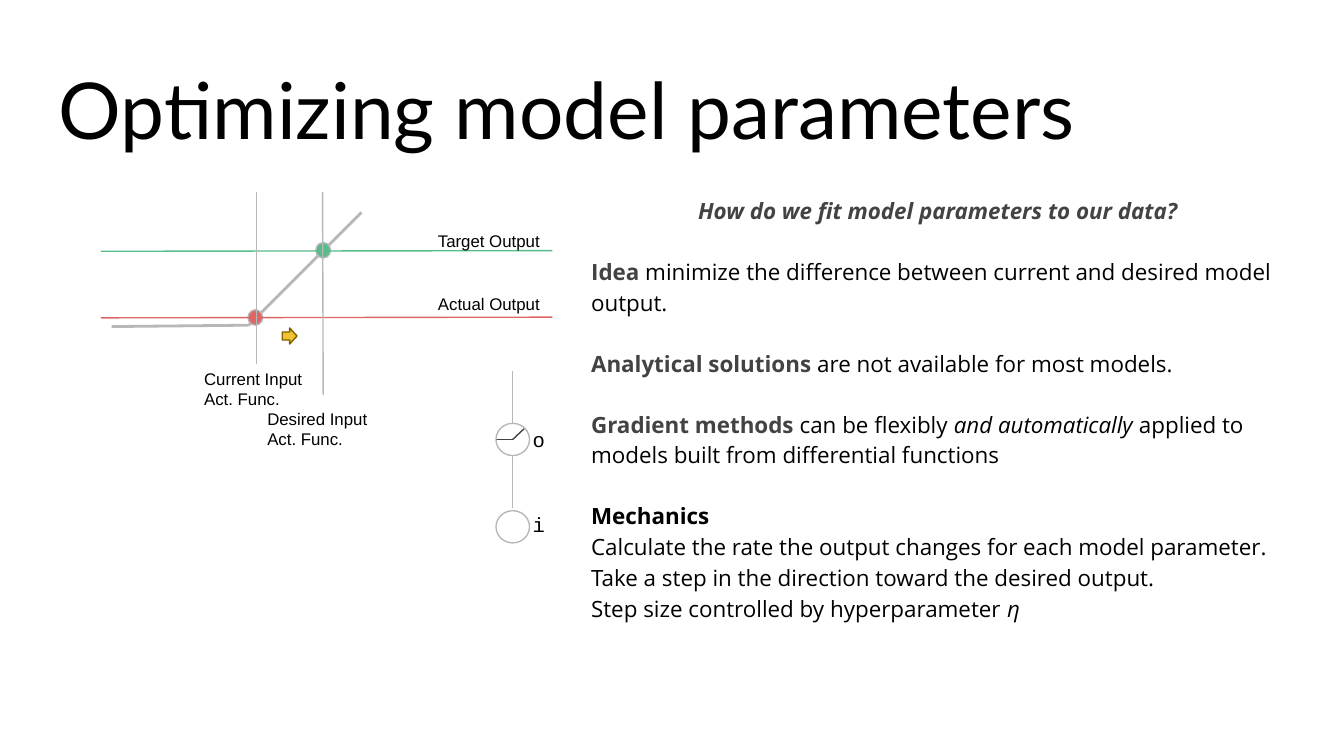
from lxml import etree
from pptx import Presentation
from pptx import util as u
from pptx.dml.color import RGBColor
from pptx.enum import shapes, text
from pptx.oxml.ns import qn

PX = 4572
BLACK, DARK, GRAY = "000000", "434343", "B7B7B7"
GREEN, RED = "57BB8A", "E06666"

deck = Presentation()
deck.slide_width, deck.slide_height = 2000 * PX, 1125 * PX
page = deck.slides.add_slide(deck.slide_layouts[6])


def color(value):
    return RGBColor.from_string(value)


def add_text(left, top, width, height, paragraphs, font, size,
             anchor=text.MSO_ANCHOR.TOP):
    box = page.shapes.add_textbox(left * PX, top * PX, width * PX, height * PX)
    frame = box.text_frame
    frame.word_wrap = True
    frame.vertical_anchor = anchor
    frame.margin_left = frame.margin_right = 20 * PX
    frame.margin_top = frame.margin_bottom = 20 * PX
    for index, spans in enumerate(paragraphs):
        para = frame.paragraphs[0] if index == 0 else frame.add_paragraph()
        for words, hue, bold, italic in spans:
            for number, line in enumerate(words.split("\n")):
                if number:
                    para.add_line_break()
                span = para.add_run()
                span.text = line
                span.font.name = font
                span.font.size = u.Pt(size)
                span.font.color.rgb = color(hue)
                span.font.bold = bold
                span.font.italic = italic
    return frame


add_text(68, 69, 1864, 182, [[("Optimizing model parameters", BLACK, False, False)]],
         "Lato", 42, text.MSO_ANCHOR.BOTTOM)

body = add_text(860, 268, 1072, 734, [
    [("How do we fit model parameters to our data?", DARK, True, True)],
    [("Idea", DARK, True, False),
     (" minimize the difference between current and desired model output.",
      BLACK, False, False)],
    [("Analytical solutions", DARK, True, False),
     (" are not available for most models.", BLACK, False, False)],
    [("Gradient methods", DARK, True, False),
     (" can be flexibly ", BLACK, False, False),
     ("and automatically", BLACK, False, True),
     (" applied to models built from differential functions", BLACK, False, False)],
    [("Mechanics", BLACK, True, False),
     ("\nCalculate the rate the output changes for each model parameter."
      "\nTake a step in the direction toward the desired output."
      "\nStep size controlled by hyperparameter ", BLACK, False, False),
     ("η", BLACK, False, True)],
], "Open Sans", 12)
body.paragraphs[0].alignment = text.PP_ALIGN.CENTER
for para in body.paragraphs:
    para.line_spacing = 1.15
for para in body.paragraphs[1:]:
    para.space_before = u.Pt(16)

LINE, OVAL = "line", shapes.MSO_SHAPE.OVAL
ARROW = shapes.MSO_SHAPE.RIGHT_ARROW
drawing = [
    (LINE, (166, 486, 370, 484), GRAY, 1.5),
    (LINE, (370, 484, 538, 316), GRAY, 1.5),
    (OVAL, (470, 361, 22, 23), GRAY, GREEN),
    (OVAL, (369, 461, 22, 23), GRAY, RED),
    (LINE, (150, 374, 822, 373), GREEN, 0.75),
    (LINE, (150, 473, 822, 472), RED, 0.75),
    (LINE, (382, 286, 382, 542), GRAY, 0.75),
    (LINE, (480, 286, 481, 588), GRAY, 0.75),
    (ARROW, (420, 488, 22, 24), "7F6000", "F1C232"),
    (LINE, (738, 654, 763, 654), DARK, 0.75),
    (LINE, (763, 654, 780, 638), DARK, 0.75),
    (OVAL, (738, 630, 50, 48), GRAY, None),
    (LINE, (763, 678, 763, 756), GRAY, 0.75),
    (LINE, (763, 552, 763, 630), GRAY, 0.75),
    (OVAL, (738, 760, 50, 48), GRAY, "FFFFFF"),
]
for kind, place, outline, style in drawing:
    place = [value * PX for value in place]
    if kind == LINE:
        item = page.shapes.add_connector(shapes.MSO_CONNECTOR.STRAIGHT, *place)
        item.line.width = u.Pt(style)
        item.line.color.rgb = color(outline)
        etree.SubElement(item._element.spPr, qn("a:effectLst"))
    else:
        item = page.shapes.add_shape(kind, *place)
        item.shadow.inherit = False
        item.line.width = u.Pt(0.75)
        item.line.color.rgb = color(outline)
        if style:
            item.fill.solid()
            item.fill.fore_color.rgb = color(style)
        else:
            item.fill.background()

labels = [
    (632, 328, 382, 70, "Target Output", "Arial", 9),
    (632, 422, 218, 70, "Actual Output", "Arial", 9),
    (284, 528, 218, 70, "Current Input\nAct. Func.", "Arial", 9),
    (378, 588, 218, 70, "Desired Input\nAct. Func.", "Arial", 9),
    (773, 617, 50, 108, "o", "Courier New", 11),
    (773, 744, 50, 108, "i", "Courier New", 11),
]
for left, top, width, height, words, font, size in labels:
    add_text(left, top, width, height, [[(words, BLACK, False, False)]], font, size)

deck.save("out.pptx")
